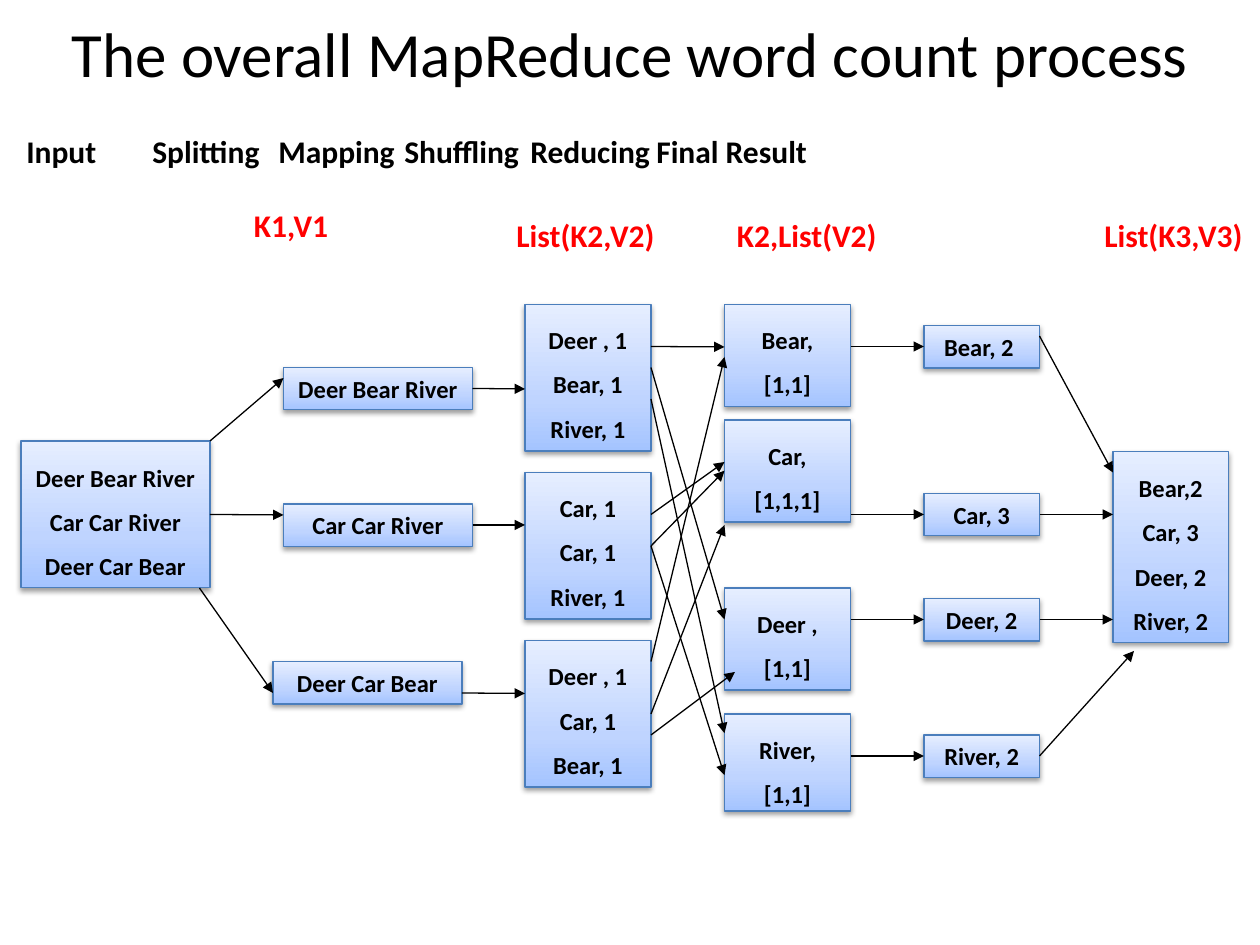
from lxml.etree import SubElement
from pptx import Presentation
from pptx.dml.color import RGBColor
from pptx.enum.shapes import MSO_CONNECTOR as Connector, MSO_SHAPE as Shape
from pptx.enum.text import MSO_ANCHOR as Anchor, MSO_AUTO_SIZE as AutoSize, PP_ALIGN as Align
from pptx.oxml.ns import qn
from pptx.util import Pt


def color(value):
    """Turn a hex string into a colour."""
    return RGBColor.from_string(value)


def add_xml(parent, tag, **attributes):
    """Append a DrawingML element and return it."""
    values = {name: str(value) for name, value in attributes.items()}
    return SubElement(parent, qn("a:" + tag), values)


class Diagram:
    """The style of the flow diagram and the slide it is drawn on."""
    font, black, red, border = "Calibri", "000000", "FF0000", "4B7EBC"
    gradient = [(0, "A4C4FF"), (35, "BFD4FF"), (100, "E6EEFF")]

    def __init__(self, page):
        """Keep the current slide."""
        self.page = page

    def style(self, para, size, ink, bold=True):
        """Set the font of a paragraph."""
        font = para.font
        font.name, font.size, font.bold = self.font, Pt(size), bold
        font.color.rgb = color(ink)

    def title(self, text, left, top, width, height):
        """Fill and place the title placeholder."""
        title = self.page.shapes.title
        title.left, title.top, title.width, title.height = map(Pt, (left, top, width, height))
        frame = title.text_frame
        frame.text, frame.vertical_anchor = text, Anchor.MIDDLE
        frame.paragraphs[0].alignment = Align.CENTER
        self.style(frame.paragraphs[0], 36, self.black, False)

    def label(self, text, left, top, width, height, ink):
        """Add a bold text box and return its paragraph."""
        box = self.page.shapes.add_textbox(*map(Pt, (left, top, width, height)))
        frame = box.text_frame
        frame.word_wrap, frame.auto_size = True, AutoSize.SHAPE_TO_FIT_TEXT
        para = frame.paragraphs[0]
        para.text = text
        self.style(para, 18, ink)
        return para

    def headings(self, texts, stops, left, top, width, height, indent):
        """Add a row of headings aligned at tab stops."""
        para = self.label("\t".join(texts), left, top, width, height, self.black)
        properties = para._p.get_or_add_pPr()
        properties.set("marL", str(Pt(indent)))
        properties.set("indent", "0")
        tabs = properties.makeelement(qn("a:tabLst"))
        properties.find(qn("a:defRPr")).addprevious(tabs)
        for stop in stops:
            add_xml(tabs, "tab", pos=Pt(stop), algn="l")

    def box(self, lines, left, top, width, height, spacing=None, anchor=Anchor.TOP):
        """Add a shaded box with centred lines of text."""
        box = self.page.shapes.add_shape(Shape.RECTANGLE, *map(Pt, (left, top, width, height)))
        box.line.color.rgb, box.line.width = color(self.border), Pt(0.75)
        box.fill.gradient()
        box.fill.gradient_angle = 90
        stops = box._element.spPr.find(".//" + qn("a:gsLst"))
        for stop in list(stops):
            stops.remove(stop)
        for position, shade in self.gradient:
            add_xml(add_xml(stops, "gs", pos=position * 1000), "srgbClr", val=shade)
        self.shadow(box)
        frame = box.text_frame
        frame.word_wrap, frame.auto_size = True, AutoSize.SHAPE_TO_FIT_TEXT
        frame.vertical_anchor, frame.text = anchor, "\n".join(lines)
        for para in frame.paragraphs:
            para.alignment, para.line_spacing = Align.CENTER, spacing
            self.style(para, 14, self.black)

    def shadow(self, box):
        """Give a box a soft shadow below it."""
        box.shadow.inherit = False
        effects = box._element.spPr.find(qn("a:effectLst"))
        outer = add_xml(effects, "outerShdw", blurRad=Pt(3.1), dist=Pt(1.6),
                        dir=5400000, rotWithShape=0)
        add_xml(add_xml(outer, "srgbClr", val=self.black), "alpha", val=38000)

    def arrow(self, x1, y1, x2, y2):
        """Add a thin arrow from the first point to the second."""
        arrow = self.page.shapes.add_connector(Connector.STRAIGHT, *map(Pt, (x1, y1, x2, y2)))
        arrow.line.color.rgb, arrow.line.width = color(self.black), Pt(0.75)
        add_xml(arrow.line._get_or_add_ln(), "tailEnd", type="triangle")
        add_xml(arrow._element.spPr, "effectLst")


deck = Presentation()
deck.slide_width, deck.slide_height = Pt(720), Pt(540)
diagram = Diagram(deck.slides.add_slide(deck.slide_layouts[5]))
diagram.title("The overall MapReduce word count process", 18, 0, 684, 60)

# Input and splitting
documents = ["Deer Bear River", "Car Car River", "Deer Car Bear"]
diagram.box(documents, 12, 252, 108, 83.75, 1.5, Anchor.MIDDLE)
for text, left, top in zip(documents, (162, 162, 156), (210, 288, 378)):
    diagram.box([text], left, top, 108, 24.25)

# Mapping
mapped = [["Deer , 1", "Bear, 1", "River, 1"],
          ["Car, 1", "Car, 1", "River, 1"],
          ["Deer , 1", "Car, 1", "Bear, 1"]]
for row, pairs in enumerate(mapped):
    diagram.box(pairs, 300, 174 + 96 * row, 72, 83.75, 1.5)

# Shuffling
shuffled = [("Bear, [1,1]", 174, 58.25), ("Car, [1,1,1]", 240, 58.25),
            ("Deer , [1,1]", 336, 58.25), ("River, [1,1]", 408, 55.5)]
for text, top, height in shuffled:
    diagram.box([text], 414, top, 72, height, 1.5)

# Reducing and final result
reduced = [("Bear, 2 ", 186), ("Car, 3", 282), ("Deer, 2", 342), ("River, 2", 420)]
for text, top in reduced:
    diagram.box([text], 528, top, 66, 24.25)
diagram.box(["Bear,2", "Car, 3", "Deer, 2", "River, 2"], 636, 258, 66, 109, 1.5, Anchor.MIDDLE)

# Arrows between the stages
input_arrows = [(120, 252, 162, 216), (120, 294, 162, 294.25), (114, 336, 156, 396)]
map_arrows = [(270, 222, 300, 222.25), (270, 300, 300, 300), (264, 396, 300, 396.25)]
shuffle_arrows = [(372, start, 414, end) for start, end in (
    (198, 198.25), (210, 354), (228, 419), (294, 264), (312, 269),
    (312, 443), (378, 204), (408, 300))] + [(372, 420, 420, 384)]
reduce_arrows = [(486, y, 528, y) for y in (198, 294, 354, 432)]
result_arrows = [(594, 192, 636, 270), (594, 294, 636, 294),
                 (594, 354, 636, 354), (594, 432, 648, 372)]
for points in input_arrows + map_arrows + shuffle_arrows + reduce_arrows + result_arrows:
    diagram.arrow(*points)

# Stage names and key/value types
diagram.headings(["Input", "Splitting", "Mapping", "Shuffling", "Reducing", "Final Result"],
                 (132, 289, 400, 510, 611), 0, 72, 720, 51, 8)
for text, left, top, width in (("K1,V1", 138, 114, 60), ("List(K2,V2)", 288, 120, 96),
                               ("K2,List(V2)", 414, 120, 96), ("List(K3,V3)", 624, 120, 96)):
    diagram.label(text, left, top, width, 29, diagram.red)

deck.save("out.pptx")
